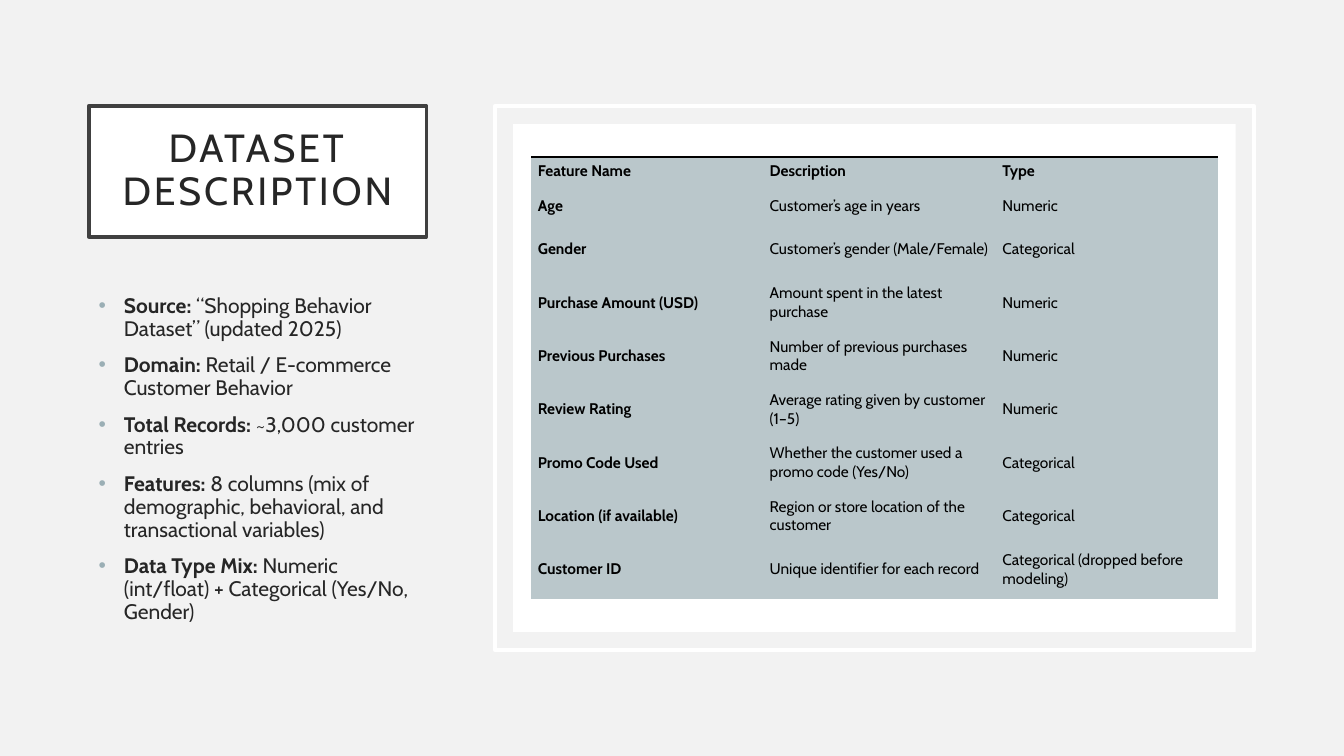
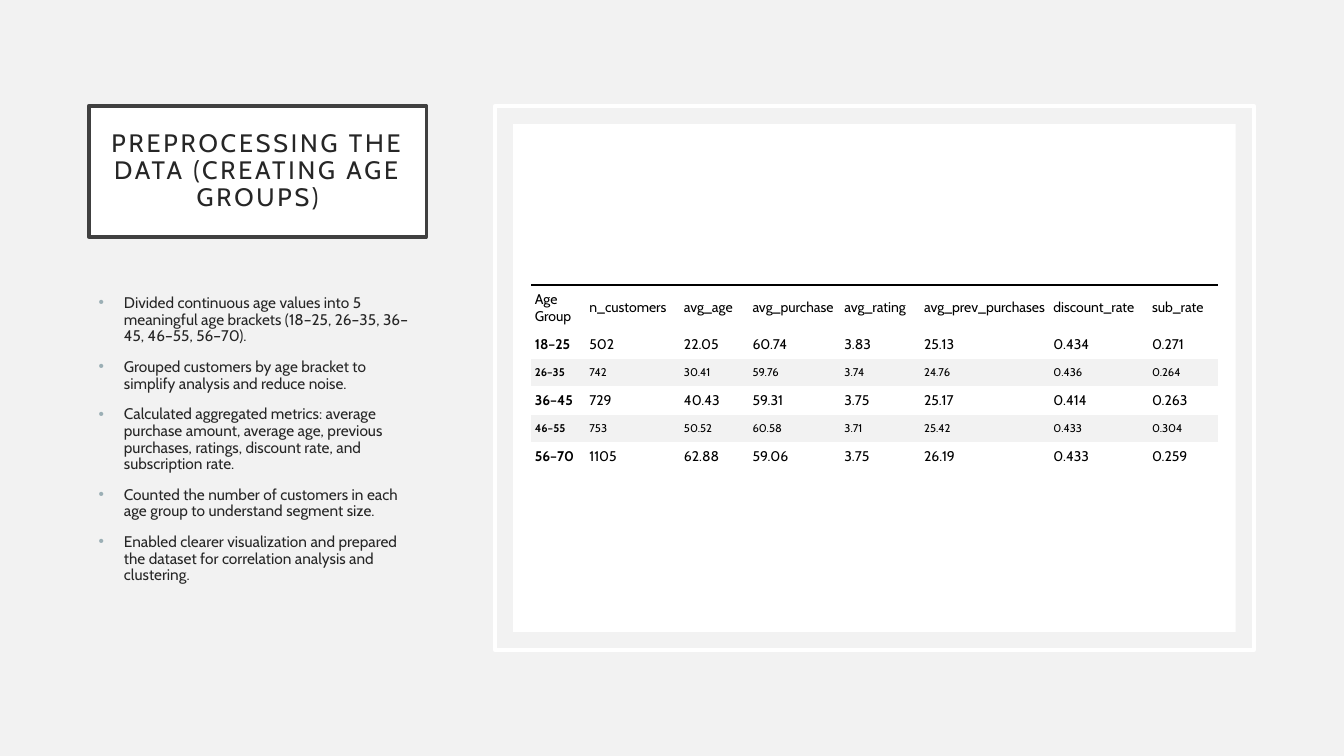
from pptx import Presentation
from pptx.util import Pt
from pptx.dml.color import RGBColor
from pptx.enum.shapes import MSO_SHAPE
from pptx.enum.text import MSO_ANCHOR, PP_ALIGN
from lxml.etree import SubElement, Element
from pptx.oxml.ns import qn

FONT = "Cabin"
HUES = {"back": "F2F2F2", "white": "FFFFFF", "edge": "404040", "ink": "262626",
        "black": "000000", "dot": "9BAFB5", "cell": "BAC7CB"}
PLAIN = "{2D5ABB26-0587-4C30-8999-92F81FD0307C}"
TITLE = (63.4, 75.6, 241.2, 93.6)
BODY = (63.4, 207.4, 241.2, 257)
PANEL = (353.5, 75.6, 542.2, 388.8)
STEP = 13


def hue(name):
    return RGBColor.from_string(HUES[name])


def add_run(para, text, size, color="ink", bold=False):
    run = para.add_run()
    run.text = text
    font = run.font
    font.name, font.size, font.bold = FONT, Pt(size), bold
    font.color.rgb = hue(color)
    return run


def pad(frame, left, top, right, bottom):
    frame.margin_left, frame.margin_top = Pt(left), Pt(top)
    frame.margin_right, frame.margin_bottom = Pt(right), Pt(bottom)


def add_rect(slide, box, fill=None, edge=None):
    rect = slide.shapes.add_shape(MSO_SHAPE.RECTANGLE, *map(Pt, box))
    rect.shadow.inherit = False
    if fill:
        rect.fill.solid()
        rect.fill.fore_color.rgb = hue(fill)
    else:
        rect.fill.background()
    if edge:
        rect.line.color.rgb = hue(edge)
        rect.line.width = Pt(2.5)
    else:
        rect.line.fill.background()
    return rect


def add_title(slide, box, text, size):
    frame = add_rect(slide, box, "white", "edge").text_frame
    frame.word_wrap = True
    frame.vertical_anchor = MSO_ANCHOR.MIDDLE
    pad(frame, *[14.4] * 4)
    para = frame.paragraphs[0]
    para.alignment = PP_ALIGN.CENTER
    para.line_spacing = 0.9
    run = add_run(para, text, size)
    run.font._element.set("spc", "200")


def add_dot(para):
    props = para._p.get_or_add_pPr()
    props.set("marL", str(Pt(18)))
    props.set("indent", str(-Pt(18)))
    color = SubElement(props, qn("a:buClr"))
    SubElement(color, qn("a:srgbClr")).set("val", HUES["dot"])
    SubElement(props, qn("a:buFont")).set("typeface", "Arial")
    SubElement(props, qn("a:buChar")).set("char", "•")


def add_body(slide, box, items, size):
    frame = slide.shapes.add_textbox(*map(Pt, box)).text_frame
    frame.word_wrap = True
    for i, (head, text) in enumerate(items):
        para = frame.add_paragraph() if i else frame.paragraphs[0]
        para.line_spacing = 0.9
        para.space_before = Pt(10)
        add_dot(para)
        if head:
            add_run(para, head, size, bold=True)
        add_run(para, text, size)


def add_panel(slide, box):
    x, y, w, h = box
    add_rect(slide, box, edge="white")
    add_rect(slide, (x + STEP, y + STEP, w - 2 * STEP, h - 2 * STEP), "white")


def top_line(cell, width):
    line = Element(qn("a:lnT"), w=str(Pt(width)))
    fill = SubElement(line, qn("a:solidFill"))
    SubElement(fill, qn("a:srgbClr")).set("val", HUES["black"])
    cell._tc.get_or_add_tcPr().insert(0, line)


def add_grid(slide, box, drop, data, cols, rows, gaps, rule, style):
    x, y = box[0] + 2 * STEP, box[1] + drop
    shape = slide.shapes.add_table(len(rows), len(cols), Pt(x), Pt(y),
                                   Pt(sum(cols)), Pt(sum(rows)))
    grid = shape.table
    grid.first_row = grid.horz_banding = False
    for node in shape._element.iter(qn("a:tableStyleId")):
        node.text = PLAIN
    for col, width in zip(grid.columns, cols):
        col.width = Pt(width)
    for r, (row, high) in enumerate(zip(data, rows)):
        grid.rows[r].height = Pt(high)
        for c, text in enumerate(row):
            cell = grid.cell(r, c)
            size, fill, bold = style(r, c)
            cell.vertical_anchor = MSO_ANCHOR.MIDDLE
            pad(cell, *gaps)
            if fill:
                cell.fill.solid()
                cell.fill.fore_color.rgb = hue(fill)
            else:
                cell.fill.background()
            if r == 0:
                top_line(cell, rule)
            add_run(cell.text_frame.paragraphs[0], text, size, "black", bold)


def add_page(deck, title, size, items, small, grid):
    slide = deck.slides.add_slide(deck.slide_layouts[6])
    slide.background.fill.solid()
    slide.background.fill.fore_color.rgb = hue("back")
    add_title(slide, TITLE, title, size)
    add_body(slide, BODY, items, small)
    add_panel(slide, PANEL)
    add_grid(slide, PANEL, **grid)


def solid(r, c):
    return 11, "cell", r == 0 or c == 0


def banded(r, c):
    band = r > 0 and r % 2 == 0
    return 8 if band else 10, "back" if band else None, r > 0 and c == 0


FACTS = [
    ("Source:", " “Shopping Behavior Dataset” (updated 2025)"),
    ("Domain:", " Retail / E-commerce Customer Behavior"),
    ("Total Records:", " ~3,000 customer entries"),
    ("Features:", " 8 columns (mix of demographic, behavioral, and transactional variables)"),
    ("Data Type Mix:", " Numeric (int/float) + Categorical (Yes/No, Gender)"),
]
FIELDS = [
    ("Feature Name", "Description", "Type"),
    ("Age", "Customer’s age in years", "Numeric"),
    ("Gender", "Customer’s gender (Male/Female)", "Categorical"),
    ("Purchase Amount (USD)", "Amount spent in the latest purchase", "Numeric"),
    ("Previous Purchases", "Number of previous purchases made", "Numeric"),
    ("Review Rating", "Average rating given by customer (1–5)", "Numeric"),
    ("Promo Code Used", "Whether the customer used a promo code (Yes/No)", "Categorical"),
    ("Location (if available)", "Region or store location of the customer", "Categorical"),
    ("Customer ID", "Unique identifier for each record", "Categorical (dropped before modeling)"),
]
STEPS = [
    "Divided continuous age values into 5 meaningful age brackets (18–25, 26–35, 36–45, 46–55, 56–70).",
    "Grouped customers by age bracket to simplify analysis and reduce noise.",
    "Calculated aggregated metrics: average purchase amount, average age, previous purchases, "
    "ratings, discount rate, and subscription rate.",
    "Counted the number of customers in each age group to understand segment size.",
    "Enabled clearer visualization and prepared the dataset for correlation analysis and clustering.",
]
GROUPS = [
    ("Age Group", "n_customers", "avg_age", "avg_purchase", "avg_rating",
     "avg_prev_purchases", "discount_rate", "sub_rate"),
    ("18–25", "502", "22.05", "60.74", "3.83", "25.13", "0.434", "0.271"),
    ("26–35", "742", "30.41", "59.76", "3.74", "24.76", "0.436", "0.264"),
    ("36–45", "729", "40.43", "59.31", "3.75", "25.17", "0.414", "0.263"),
    ("46–55", "753", "50.52", "60.58", "3.71", "25.42", "0.433", "0.304"),
    ("56–70", "1105", "62.88", "59.06", "3.75", "26.19", "0.433", "0.259"),
]


def main():
    deck = Presentation()
    deck.slide_width, deck.slide_height = Pt(960), Pt(540)
    add_page(deck, "DATASET DESCRIPTION", 28, FACTS, 15, dict(
        drop=36.6, data=FIELDS, cols=[165.6, 166.3, 158.4],
        rows=[24.5] * 2 + [38.1] * 7, gaps=(4.7, 2.2, 3.6, 6.5),
        rule=1, style=solid))
    add_page(deck, "PREPROCESSING THE DATA (CREATING AGE GROUPS)", 18,
             [("", text) for text in STEPS], 11, dict(
                 drop=128, data=GROUPS,
                 cols=[38.9, 67.6, 49, 65.6, 57, 92.4, 70.4, 49.4],
                 rows=[32.4] + [20.4, 19.6] * 2 + [20.4],
                 gaps=(2.6, 3.6, 2.6, 3.6), rule=2.25, style=banded))
    deck.save("out.pptx")


if __name__ == "__main__":
    main()
